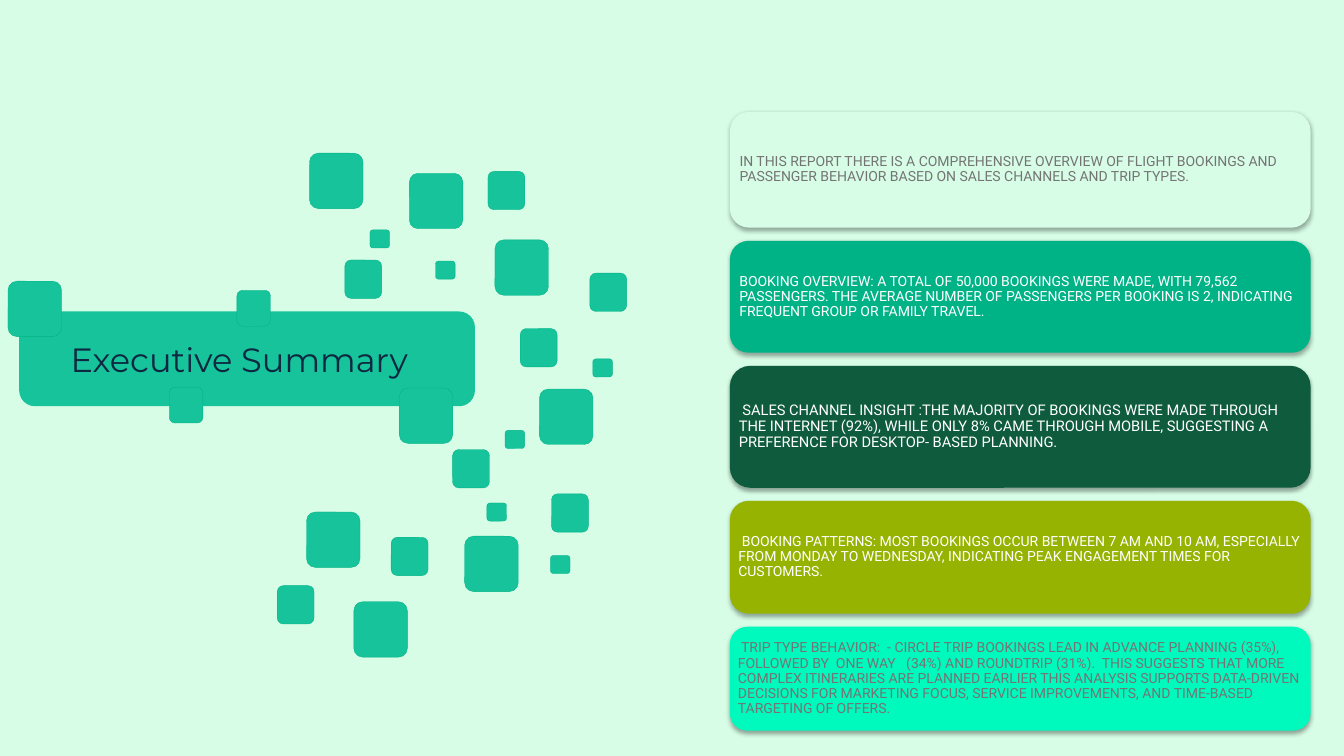
from lxml.etree import SubElement
from pptx import Presentation
from pptx.dml.color import RGBColor
from pptx.enum.shapes import MSO_SHAPE
from pptx.enum.text import MSO_ANCHOR, PP_ALIGN
from pptx.oxml.ns import qn
from pptx.util import Inches, Pt

SLIDE_WIDTH = Inches(13.33)
SLIDE_HEIGHT = Inches(7.5)

MINT = RGBColor(0xD7, 0xFD, 0xE6)
TILE_GREEN = RGBColor(0x16, 0xC3, 0x9A)
EDGE_GREEN = RGBColor(0x00, 0xB3, 0x87)
FOREST = RGBColor(0x0E, 0x5B, 0x3E)
OLIVE = RGBColor(0x95, 0xB3, 0x00)
AQUA = RGBColor(0x00, 0xFA, 0xBE)
WHITE = RGBColor(0xFF, 0xFF, 0xFF)
GRAY = RGBColor(0x74, 0x74, 0x74)
NAVY = RGBColor(0x0E, 0x28, 0x41)

CARD_LEFT, CARD_WIDTH = 54.31, 43.21
CARDS_TOP, CARD_GAP = 14.8, 1.73

FINDINGS = [
    (15.33, MINT, GRAY, 10, 0.04,
     "IN THIS REPORT THERE IS A COMPREHENSIVE OVERVIEW OF FLIGHT BOOKINGS AND "
     "PASSENGER BEHAVIOR BASED ON SALES CHANNELS AND TRIP TYPES."),
    (14.8, EDGE_GREEN, WHITE, 10, 0.04,
     "BOOKING OVERVIEW: A TOTAL OF 50,000 BOOKINGS WERE MADE, WITH 79,562 "
     "PASSENGERS. THE AVERAGE NUMBER OF PASSENGERS PER BOOKING IS 2, INDICATING "
     "FREQUENT GROUP OR FAMILY TRAVEL."),
    (16.13, FOREST, WHITE, 10.5, 0.03,
     " SALES CHANNEL INSIGHT :THE MAJORITY OF BOOKINGS WERE MADE THROUGH "
     "THE INTERNET (92%), WHILE ONLY 8% CAME THROUGH MOBILE, SUGGESTING A "
     "PREFERENCE FOR DESKTOP- BASED PLANNING."),
    (14.93, OLIVE, WHITE, 10, 0.03,
     " BOOKING PATTERNS: MOST BOOKINGS OCCUR BETWEEN 7 AM AND 10 AM, ESPECIALLY "
     "FROM MONDAY TO WEDNESDAY, INDICATING PEAK ENGAGEMENT TIMES FOR CUSTOMERS."),
    (13.73, AQUA, GRAY, 10, 0.03,
     " TRIP TYPE BEHAVIOR:  - CIRCLE TRIP BOOKINGS LEAD IN ADVANCE PLANNING (35%),  "
     "FOLLOWED BY  ONE WAY   (34%) AND ROUNDTRIP (31%).  THIS SUGGESTS THAT MORE "
     "COMPLEX ITINERARIES ARE PLANNED EARLIER THIS ANALYSIS SUPPORTS DATA-DRIVEN "
     "DECISIONS FOR MARKETING FOCUS, SERVICE IMPROVEMENTS, AND TIME-BASED "
     "TARGETING OF OFFERS."),
]

TILES = {
    (3.98, 7.33): [
        (29.71, 51.33), (0.6, 37.2), (22.81, 67.73), (23.03, 20.27), (26.33, 79.6),
        (34.58, 70.93), (40.14, 51.47), (36.83, 31.73), (30.46, 22.93)],
    (2.74, 5.07): [
        (20.63, 77.47), (43.89, 36.13), (41.04, 65.33), (33.68, 59.47),
        (29.11, 71.07), (38.71, 43.47), (36.31, 22.67), (25.66, 34.4)],
    (2.5, 4.75): [(12.6, 51.2), (17.63, 38.4)],
    (1.46, 2.4): [
        (40.96, 73.47), (27.53, 30.4), (32.41, 34.53), (44.11, 47.47),
        (37.58, 56.93), (36.23, 66.53)],
}


def across(percent):
    return round(SLIDE_WIDTH * percent / 100)


def down(percent):
    return round(SLIDE_HEIGHT * percent / 100)


def add_rounded(slide, left, top, width, height, color):
    rounded = slide.shapes.add_shape(
        MSO_SHAPE.ROUNDED_RECTANGLE,
        across(left), down(top), across(width), down(height))
    rounded.shadow.inherit = False
    rounded.fill.solid()
    rounded.fill.fore_color.rgb = color
    rounded.line.fill.background()
    return rounded


def add_tile(slide, left, top, width, height):
    tile = add_rounded(slide, left, top, width, height, TILE_GREEN)
    tile.line.color.rgb = EDGE_GREEN
    tile.line.width = Pt(0.25)


def drop_shadow(card):
    effects = card._element.spPr.find(qn("a:effectLst"))
    shadow = SubElement(effects, qn("a:outerShdw"), blurRad=str(Pt(3.1)),
                        dist=str(Pt(1.8)), dir="5400000", rotWithShape="0")
    black = SubElement(shadow, qn("a:srgbClr"), val="000000")
    SubElement(black, qn("a:alpha"), val="35000")


def add_finding(slide, top, height, fill, ink, size, inset, wording):
    card = add_rounded(slide, CARD_LEFT, top, CARD_WIDTH, height, fill)
    drop_shadow(card)
    frame = card.text_frame
    frame.word_wrap = True
    frame.vertical_anchor = MSO_ANCHOR.MIDDLE
    frame.margin_left = frame.margin_right = Inches(inset)
    frame.margin_top = frame.margin_bottom = Inches(inset)
    frame.text = wording
    paragraph = frame.paragraphs[0]
    paragraph.alignment = PP_ALIGN.LEFT
    paragraph.line_spacing = 0.9
    paragraph.font.name = "Roboto"
    paragraph.font.size = Pt(size)
    paragraph.font.color.rgb = ink


def place_title(slide):
    title = slide.shapes.title
    title.left, title.top = across(4.5), down(44.13)
    title.width, title.height = across(49.96), down(6.67)
    title.text_frame.text = "Executive Summary"
    title.text_frame.vertical_anchor = MSO_ANCHOR.TOP
    paragraph = title.text_frame.paragraphs[0]
    paragraph.alignment = PP_ALIGN.LEFT
    paragraph.font.name = "Montserrat"
    paragraph.font.size = Pt(24)
    paragraph.font.color.rgb = NAVY
    slide.shapes._spTree.append(title._element)


def main():
    deck = Presentation()
    deck.slide_width, deck.slide_height = SLIDE_WIDTH, SLIDE_HEIGHT
    slide = deck.slides.add_slide(deck.slide_layouts[5])
    slide.background.fill.solid()
    slide.background.fill.fore_color.rgb = MINT

    top = CARDS_TOP
    for height, *content in FINDINGS:
        add_finding(slide, top, height, *content)
        top += height + CARD_GAP

    add_rounded(slide, 1.43, 41.2, 33.91, 12.53, TILE_GREEN)
    place_title(slide)
    for size, corners in TILES.items():
        for corner in corners:
            add_tile(slide, *corner, *size)

    deck.save("out.pptx")


if __name__ == "__main__":
    main()
